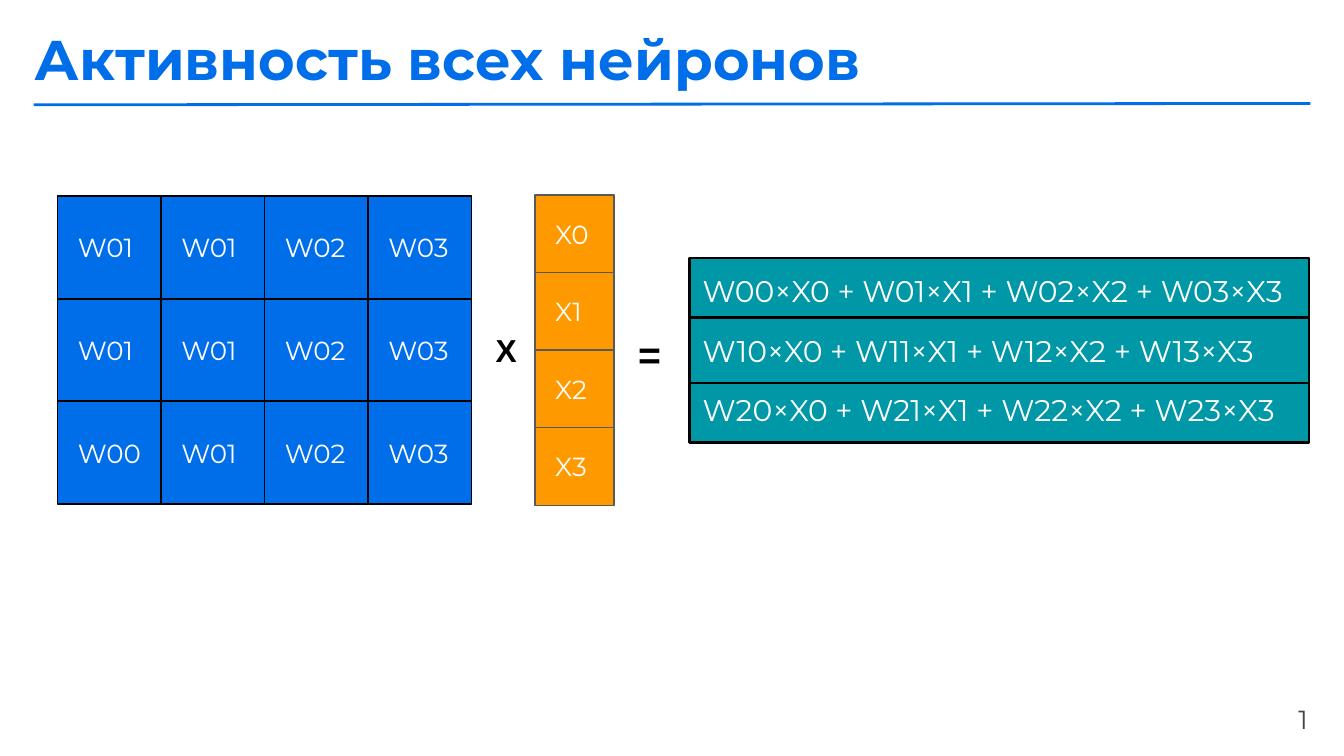
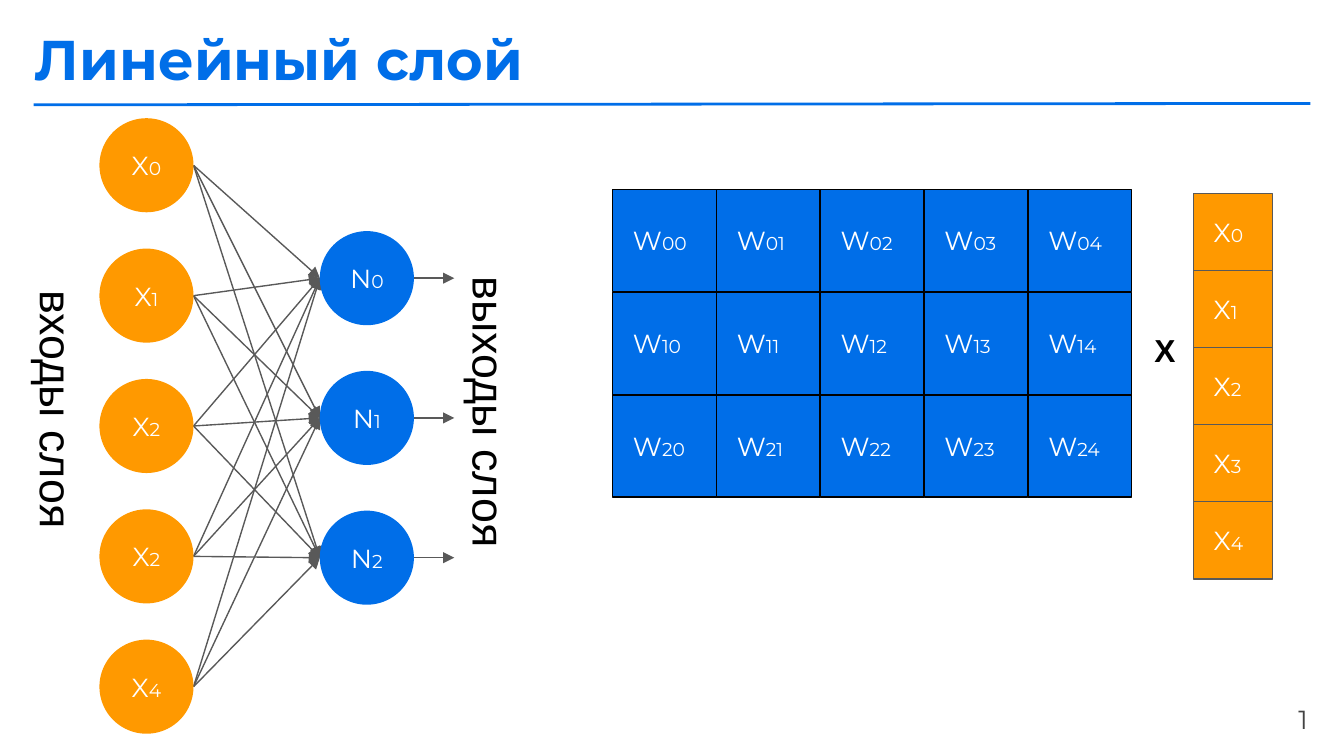
from lxml.etree import SubElement
from pptx import Presentation
from pptx.dml.color import RGBColor
from pptx.enum.shapes import MSO_CONNECTOR, MSO_SHAPE
from pptx.enum.text import MSO_ANCHOR, MSO_AUTO_SIZE, PP_ALIGN
from pptx.oxml.ns import qn
from pptx.util import Pt

INK = {
    "blue": "006EE8", "gold": "FF9900", "teal": "0097A7", "white": "FFFFFF",
    "black": "000000", "gray": "595959", "dark": "434343",
}
SANS, PLAIN = "Montserrat", "Arial"
PX = 9144
WIDE = 1000

PAGE = "1"
HEADS = ["Активность всех нейронов", "Линейный слой"]
SUMS = [
    "W00×X0 + W01×X1 + W02×X2 + W03×X3",
    "W10×X0 + W11×X1 + W12×X2 + W13×X3",
    "W20×X0 + W21×X1 + W22×X2 + W23×X3",
]
MATS = [
    [
        ["W01", "W01", "W02", "W03"],
        ["W01", "W01", "W02", "W03"],
        ["W00", "W01", "W02", "W03"],
    ],
    [
        ["W00", "W01", "W02", "W03", "W04"],
        ["W10", "W11", "W12", "W13", "W14"],
        ["W20", "W21", "W22", "W23", "W24"],
    ],
]
VECS = [["X0", "X1", "X2", "X3"], ["X0", "X1", "X2", "X3", "X4"]]
INS = ["X0", "X1", "X2", "X2", "X4"]
OUTS = ["N0", "N1", "N2"]
SIDES = [("входы слоя", (-64, 286, 217, 57)), ("выходы слоя", (252, 282, 229, 57))]
BALL = 70
IN_X, OUT_X, TIP_X = 74, 238, 338


def emu(*vals):
    """Turn px into EMU."""
    return [round(val * PX) for val in vals]


def spread(first, last, count):
    """Give evenly spaced positions from first to last."""
    return [first + (last - first) * i / (count - 1) for i in range(count)]


def tint(name):
    """Look up a colour."""
    return RGBColor.from_string(INK[name])


def write(shape, parts, ink, font=SANS, bold=False, align=PP_ALIGN.LEFT,
          anchor=MSO_ANCHOR.TOP, pad=(10, 10)):
    """Fill a shape with runs given as (text, size)."""
    frame = shape.text_frame
    frame.word_wrap = True
    frame.auto_size = MSO_AUTO_SIZE.NONE
    frame.vertical_anchor = anchor
    frame.margin_left, frame.margin_right = emu(*pad)
    frame.margin_top, frame.margin_bottom = emu(10, 10)
    para = frame.paragraphs[0]
    para.alignment = align
    for text, size in parts:
        run = para.add_run()
        run.text = text
        run.font.size = Pt(size)
        run.font.name = font
        run.font.bold = bold
        run.font.color.rgb = tint(ink)


def label(slide, box, text, size, ink="black", **look):
    """Add a text box."""
    shape = slide.shapes.add_textbox(*emu(*box))
    write(shape, [(text, size)], ink, **look)
    return shape


def block(slide, box, parts, fill, edge=None, thick=0.75,
          kind=MSO_SHAPE.RECTANGLE, **look):
    """Add a filled shape with white text."""
    shape = slide.shapes.add_shape(kind, *emu(*box))
    shape.shadow.inherit = False
    shape.fill.solid()
    shape.fill.fore_color.rgb = tint(fill)
    if edge:
        shape.line.color.rgb = tint(edge)
        shape.line.width = Pt(thick)
    else:
        shape.line.fill.background()
    write(shape, parts, "white", anchor=MSO_ANCHOR.MIDDLE, **look)


def stroke(slide, ends, ink="gray", thick=0.75, tip=True):
    """Add a line, with an arrowhead if asked."""
    line = slide.shapes.add_connector(MSO_CONNECTOR.STRAIGHT, *emu(*ends))
    line.line.color.rgb = tint(ink)
    line.line.width = Pt(thick)
    if tip:
        SubElement(line.line._get_or_add_ln(), qn("a:tailEnd"), type="triangle")
    SubElement(line._element.spPr, qn("a:effectLst"))


def whole(text):
    """Keep a symbol in one size."""
    return [(text, 14)]


def split(text):
    """Part a symbol into its letter and its small index."""
    return [(text[0], 14), (text[1:], 10)]


def matrix(slide, rows, lefts, tops, cut):
    """Draw the weight cells."""
    for row, y in zip(rows, tops):
        for text, x in zip(row, lefts):
            block(slide, (x, y, 77, 76), cut(text), "blue", "black", pad=(15, 5))


def vector(slide, cells, x, tops, cut):
    """Draw the input cells and the times sign before them."""
    for text, y in zip(cells, tops):
        block(slide, (x, y, 59, 58), cut(text), "gold", "gray", pad=(15, 5))
    label(slide, (x - 39, 236, 34, 39), "X", 17, font=PLAIN, bold=True)


def balls(slide, names, x, tops, fill):
    """Draw one layer of neurons."""
    for text, y in zip(names, tops):
        block(slide, (x, y, BALL, BALL), split(text), fill,
              kind=MSO_SHAPE.OVAL, align=PP_ALIGN.CENTER)


def start(deck, head):
    """Add a slide with its title, rule and page number."""
    slide = deck.slides.add_slide(deck.slide_layouts[5])
    title = slide.shapes.title
    title.left, title.top, title.width, title.height = emu(16, 8, 751, 70)
    write(title, [(head, 30)], "blue", bold=True)
    stroke(slide, (25, 78, 975, 77), "blue", 1.5, False)
    label(slide, (924, 513, 59, 39), PAGE, 14, "dark", align=PP_ALIGN.RIGHT)
    return slide


def product(slide):
    """Show weights times inputs and the sums."""
    matrix(slide, MATS[0], spread(43, 274, 4), spread(146, 299, 3), whole)
    vector(slide, VECS[0], 398, spread(145, 318, 4), whole)
    label(slide, (465, 236, 40, 49), "=", 21, font=PLAIN, bold=True)
    tops = spread(192, 280, 3)
    for i in (2, 0, 1):
        block(slide, (513, tops[i], 461, 49), [(SUMS[i], 16)], "teal", "black", 1.5)


def layer(slide):
    """Show the linear layer as a net and as a product."""
    ins, outs = spread(88, 476, len(INS)), spread(172, 380, len(OUTS))
    half = BALL / 2
    for y in outs:
        stroke(slide, (OUT_X + BALL, y + half, TIP_X, y + half))
        for top in ins:
            stroke(slide, (IN_X + BALL, top + half, OUT_X, y + half))
    balls(slide, INS, IN_X, ins, "gold")
    balls(slide, OUTS, OUT_X, outs, "blue")
    matrix(slide, MATS[1], spread(456, 765, 5), spread(141, 294, 3), split)
    vector(slide, VECS[1], 888, spread(144, 373, 5), split)
    for text, box in SIDES:
        label(slide, box, text, 24, font=PLAIN).rotation = 90


def main():
    """Build the deck."""
    deck = Presentation()
    deck.slide_width, deck.slide_height = emu(WIDE, WIDE * 9 / 16)
    for head, draw in zip(HEADS, (product, layer)):
        draw(start(deck, head))
    deck.save("out.pptx")


if __name__ == "__main__":
    main()
